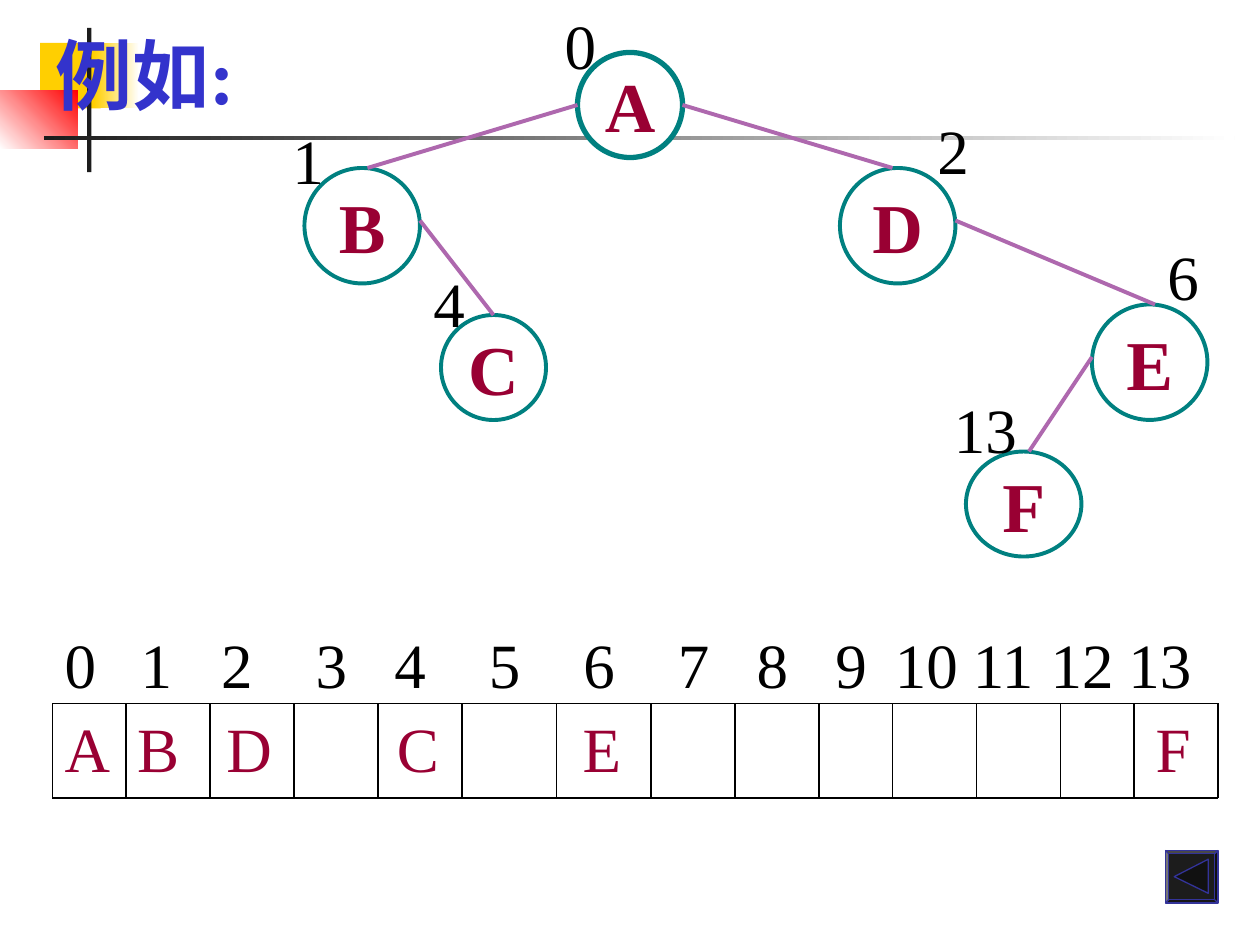
from lxml import etree
from pptx import Presentation
from pptx.dml.color import RGBColor
from pptx.enum.shapes import MSO_CONNECTOR, MSO_SHAPE
from pptx.enum.text import MSO_ANCHOR, PP_ALIGN
from pptx.oxml.ns import qn
from pptx.util import Pt

RECTANGLE = MSO_SHAPE.RECTANGLE
OVAL = MSO_SHAPE.OVAL
BEVEL = MSO_SHAPE.BEVEL
STRAIGHT = MSO_CONNECTOR.STRAIGHT
CENTER = PP_ALIGN.CENTER
MIDDLE = MSO_ANCHOR.MIDDLE

FONT = "Times New Roman"
COLORS = {
    "white": "FFFFFF",
    "black": "000000",
    "yellow": "FFCF01",
    "red": "FF0000",
    "charcoal": "1C1C1C",
    "title": "3333CC",
    "ring": "008080",
    "letter": "990033",
    "edge": "AE68AE",
    "button_line": "333399",
    "button_arrow": "111111",
}

# Master decoration: left, top, width, height, colours, gradient angle
DECORATION = [
    (23, 24.5, 34.5, 37.5, ["yellow"], 0),
    (53.5, 24.5, 26, 37.5, ["yellow", "white"], 0),
    (0, 51.5, 44.5, 33.5, ["white", "red"], 45),
    (49.8, 16, 2.5, 82.5, ["charcoal"], 0),
    (25, 77.6, 680.5, 2.5, ["charcoal", "white"], 0),
]

# Tree nodes: letter, left, top, width, height, ring width
NODES = [
    ("A", 330, 30, 60, 60, 3),
    ("B", 174, 96, 66, 66, 2.25),
    ("C", 252, 180, 60, 60, 2.25),
    ("D", 480, 96, 66, 66, 2.25),
    ("E", 624, 174, 66, 66, 2.25),
    ("F", 552, 258, 66, 60, 2.25),
]
EDGES = [
    (330, 60, 210, 96),
    (240, 126, 282, 180),
    (390, 60, 510, 96),
    (546, 126, 660, 174),
    (624, 204, 588, 258),
]

# Array index beside each node: text, left, top, width
NODE_INDEXES = [
    ("1", 160, 66, 32.5),
    ("4", 240.5, 147.5, 32.5),
    ("0", 315.5, 0, 32.5),
    ("13", 538, 219.5, 50.5),
    ("2", 528.5, 60, 32.5),
    ("6", 660, 132, 32.5),
]

# Array: cell borders and where each entry of a row begins
ARRAY_TOP, ARRAY_BOTTOM = 402, 456
BORDERS = [30, 72, 120, 168, 216, 264, 318, 372, 420, 468, 510, 558, 606, 648, 696]
ROW_LEFT, ROW_WIDTH, INSET = 24, 670, 7.2
LETTER_STARTS = {"A": 37, "B": 78.5, "D": 129.5, "C": 227, "E": 333, "F": 660.5}
INDEX_STARTS = [37, 80.5, 126.5, 180.5, 225.5, 279.5, 333.5,
                387.5, 432.5, 477.5, 511.5, 556, 600.5, 645]


def rgb(name):
    return RGBColor.from_string(COLORS[name])


def format_text(paragraph, size, color, bold=False):
    for run in paragraph.runs:
        run.font.name = FONT
        run.font.size = Pt(size)
        run.font.bold = bold
        run.font.color.rgb = rgb(color)


def add_band(slide, left, top, width, height, colors, angle):
    shape = slide.shapes.add_shape(RECTANGLE, Pt(left), Pt(top), Pt(width), Pt(height))
    shape.shadow.inherit = False
    shape.line.fill.background()
    if len(colors) == 1:
        shape.fill.solid()
        shape.fill.fore_color.rgb = rgb(colors[0])
        return
    shape.fill.gradient()
    shape.fill.gradient_angle = angle
    for stop, color in zip(shape.fill.gradient_stops, colors):
        stop.color.rgb = rgb(color)


def add_label(slide, text, left, top, width, height=50.5, size=36,
              color="black", bold=False):
    box = slide.shapes.add_textbox(Pt(left), Pt(top), Pt(width), Pt(height))
    box.text_frame.text = text
    box.text_frame.word_wrap = False
    format_text(box.text_frame.paragraphs[0], size, color, bold)


def add_row(slide, entries, starts, top, color):
    """One line of text whose entries each begin at a tab stop."""
    box = slide.shapes.add_textbox(Pt(ROW_LEFT), Pt(top), Pt(ROW_WIDTH), Pt(50.5))
    box.text_frame.word_wrap = True
    paragraph = box.text_frame.paragraphs[0]
    properties = paragraph._p.get_or_add_pPr()
    tab_list = etree.SubElement(properties, qn("a:tabLst"))
    for start in starts:
        position = Pt(start - ROW_LEFT - INSET)
        etree.SubElement(tab_list, qn("a:tab"), pos=str(position), algn="l")
    paragraph.text = "".join("\t" + entry for entry in entries)
    format_text(paragraph, 36, color)


def add_line(slide, x1, y1, x2, y2, color, width):
    line = slide.shapes.add_connector(STRAIGHT, Pt(x1), Pt(y1), Pt(x2), Pt(y2))
    line.line.color.rgb = rgb(color)
    line.line.width = Pt(width)
    etree.SubElement(line._element.spPr, qn("a:effectLst"))


def add_node(slide, letter, left, top, width, height, ring_width):
    shape = slide.shapes.add_shape(OVAL, Pt(left), Pt(top), Pt(width), Pt(height))
    style_outlined(shape, "white", "ring", ring_width)
    frame = shape.text_frame
    frame.text = letter
    frame.word_wrap = False
    frame.vertical_anchor = MIDDLE
    frame.paragraphs[0].alignment = CENTER
    format_text(frame.paragraphs[0], 40, "letter", bold=True)


def style_outlined(shape, fill, line, width):
    shape.shadow.inherit = False
    shape.fill.solid()
    shape.fill.fore_color.rgb = rgb(fill)
    shape.line.color.rgb = rgb(line)
    shape.line.width = Pt(width)


def add_back_button(slide):
    button = slide.shapes.add_shape(BEVEL, Pt(666), Pt(486), Pt(30), Pt(30))
    button.adjustments[0] = 0.06
    style_outlined(button, "charcoal", "button_line", 0.75)
    builder = slide.shapes.build_freeform(Pt(671), Pt(501))
    builder.add_line_segments([(Pt(690.5), Pt(491)), (Pt(690.5), Pt(510.5))])
    style_outlined(builder.convert_to_shape(), "button_arrow", "button_line", 0.75)


def main():
    presentation = Presentation()
    presentation.slide_width = Pt(720)
    presentation.slide_height = Pt(540)
    slide = presentation.slides.add_slide(presentation.slide_layouts[6])

    # Background decoration and title
    for band in DECORATION:
        add_band(slide, *band)
    add_label(slide, "例如:", 24.5, 12, 127.5, 60.5, 44, "title", bold=True)

    # Tree nodes
    for node in NODES:
        add_node(slide, *node)

    # Array with its letters and indexes
    for y in (ARRAY_TOP, ARRAY_BOTTOM):
        add_line(slide, BORDERS[0], y, BORDERS[-1], y, "black", 1)
    for x in BORDERS:
        add_line(slide, x, ARRAY_TOP, x, ARRAY_BOTTOM, "black", 1)
    add_row(slide, LETTER_STARTS.keys(), LETTER_STARTS.values(), 402, "letter")
    indexes = [str(index) for index in range(len(INDEX_STARTS))]
    add_row(slide, indexes, INDEX_STARTS, 354, "black")

    # Tree edges and node indexes
    for edge in EDGES:
        add_line(slide, *edge, "edge", 2.25)
    for label in NODE_INDEXES:
        add_label(slide, *label)

    add_back_button(slide)
    presentation.save("out.pptx")


if __name__ == "__main__":
    main()
